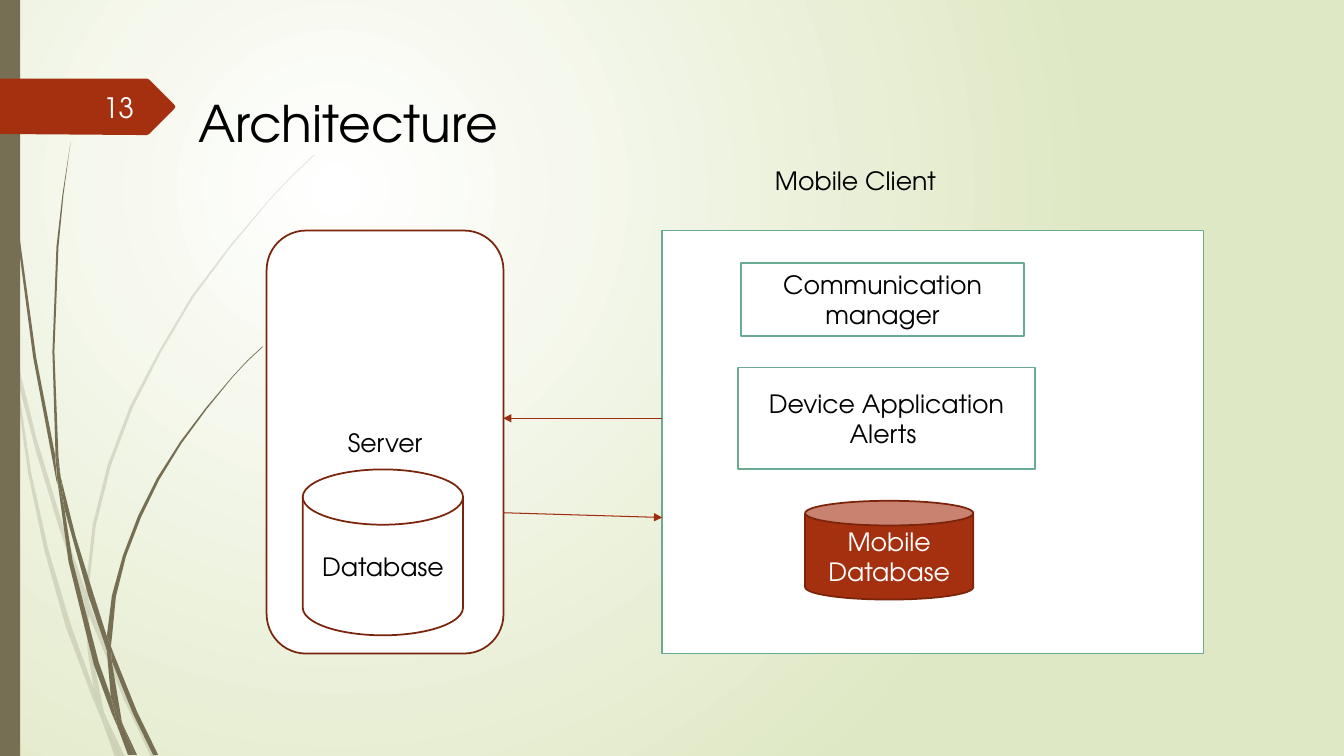
from dataclasses import dataclass
from typing import Any, Optional

from lxml.etree import SubElement
from pptx import Presentation
from pptx.dml.color import RGBColor
from pptx.enum.shapes import MSO_CONNECTOR as Link, MSO_SHAPE as Form
from pptx.enum.text import MSO_ANCHOR as Anchor, MSO_AUTO_SIZE as AutoSize, PP_ALIGN as Align
from pptx.oxml.ns import qn
from pptx.shapes.autoshape import Shape
from pptx.slide import Slide
from pptx.text.text import TextFrame
from pptx.util import Cm, Pt

FONT = "TeX Gyre Adventor"
BLACK = RGBColor(0x00, 0x00, 0x00)
WHITE = RGBColor(0xFF, 0xFF, 0xFF)
NEAR_WHITE = RGBColor(0xFE, 0xFF, 0xFF)
PALE_GREEN = RGBColor(0xDF, 0xE8, 0xC4)
OLIVE = RGBColor(0x76, 0x6F, 0x54)
RUST = RGBColor(0xA5, 0x30, 0x10)
DARK_RUST = RGBColor(0x7A, 0x24, 0x0C)
ARROW_RUST = RGBColor(0x9E, 0x2E, 0x0F)
TEAL = RGBColor(0x6A, 0xAC, 0x91)
OUTLINE_UNIT = 2.54

Box = tuple[float, float, float, float]
Point = tuple[float, float]


@dataclass(frozen=True)
class Outline:
    points: list[Point]
    fill: RGBColor = OLIVE
    opacity: int = 100


@dataclass(frozen=True)
class Node:
    form: Form
    box: Box
    fill: RGBColor
    edge: Optional[RGBColor] = None
    text: str = ""
    ink: RGBColor = BLACK


@dataclass(frozen=True)
class Label:
    text: str
    box: Box
    size: int
    frame: dict[str, Any]
    align: Align = Align.LEFT
    ink: RGBColor = BLACK


@dataclass(frozen=True)
class Arrow:
    start: Point
    end: Point


PALE_WISPS = [
    [(.11, 3.5), (.09, 3.22), (0, 2.82), (0, 2.99), (.1, 3.44)],
    [(.58, 5.22), (.84, 5.99), (.85, 5.86), (.62, 5.2), (.36, 4.34), (.14, 3.45), (.17, 3.76),
     (.36, 4.49)],
    [(.92, 6.07), (.88, 5.96), (.88, 6.1), (1.23, 6.94), (1.5, 7.51), (1.55, 7.51), (1.27, 6.92)],
    [(1.19, 7.51), (1.24, 7.51), (1.05, 7.11)],
    [(.93, 6.83), (.7, 6.19), (.48, 5.45), (.31, 4.69), (.17, 3.76), (.11, 3.5), (.28, 4.7),
     (.44, 5.46), (.65, 6.21), (.92, 6.93), (1.01, 7.14), (.99, 7.07)],
    [(.84, 5.99), (.87, 6.46), (.93, 6.83), (.96, 6.92), (1.05, 7.11), (1.03, 7.06), (.91, 6.46),
     (.88, 6.1), (.88, 6.08)],
    [(.88, 5.84), (.95, 5.22), (1.1, 4.62), (1.32, 4.04), (1.6, 3.49), (1.92, 2.95), (2.29, 2.45),
     (2.68, 1.98), (2.9, 1.75), (3.12, 1.54), (3.12, 1.53), (2.89, 1.75), (2.68, 1.97),
     (2.28, 2.44), (1.9, 2.94), (1.58, 3.48), (1.29, 4.03), (1.07, 4.61), (.92, 5.21),
     (.85, 5.84), (.85, 5.86), (.88, 5.96)],
    [(1.01, 7.14), (1.14, 7.51), (1.19, 7.51)],
    [(.88, 6.08), (.88, 6.1), (.88, 5.96), (.85, 5.86), (.84, 5.99)],
    [(.96, 6.92), (.93, 6.83), (.99, 7.07), (1.01, 7.14), (1.19, 7.51), (1.05, 7.11)],
]
WISPS = [
    [(.07, 1.1), (.17, 2.33), (.33, 3.55), (.56, 4.77), (.57, 4.81), (.55, 4.57), (.55, 4.53),
     (.36, 3.55), (.19, 2.32), (.08, 1.09), (.05, .48), (.04, 0), (.03, 0), (.04, .48)],
    [(.88, 5.92), (1.06, 6.45), (1.06, 6.33), (1.06, 6.31), (.93, 5.9), (.75, 5.32), (.6, 4.72),
     (.64, 5.05)],
    [(1.13, 6.49), (1.1, 6.41), (1.11, 6.56), (1.32, 7.08), (1.52, 7.49), (1.57, 7.49),
     (1.36, 7.06)],
    [(1.1, 6.91), (.98, 6.57), (.72, 5.56), (.64, 5.05), (.57, 4.77), (.68, 5.57), (.93, 6.59),
     (1.11, 7.08), (1.17, 7.22), (1.16, 7.17)],
    [(.6, 4.72), (.58, 4.53), (.54, 3.49), (.58, 2.45), (.63, 1.93), (.7, 1.41), (.62, 1.93),
     (.56, 2.45), (.52, 3.49), (.55, 4.49), (.6, 4.72)],
    [(1.33, 7.49), (1.36, 7.49), (1.22, 7.19)],
    [(.57, 4.77), (.64, 5.05), (.6, 4.72), (.55, 4.49), (.55, 4.53)],
    [(1.11, 6.33), (1.15, 5.92), (1.25, 5.52), (1.4, 5.13), (1.58, 4.76), (1.8, 4.4), (2.05, 4.06),
     (2.31, 3.74), (2.45, 3.59), (2.61, 3.44), (2.6, 3.44), (2.45, 3.58), (2.31, 3.73),
     (2.04, 4.05), (1.79, 4.38), (1.56, 4.74), (1.37, 5.12), (1.22, 5.51), (1.11, 5.91),
     (1.06, 6.31), (1.1, 6.41)],
    [(1.17, 7.22), (1.27, 7.49), (1.31, 7.49)],
    [(1.06, 6.45), (1.1, 6.91), (1.16, 7.06), (1.22, 7.19), (1.21, 7.16), (1.11, 6.56),
     (1.09, 6.51)],
    [(1.06, 6.45), (1.09, 6.51), (1.11, 6.56), (1.1, 6.41), (1.06, 6.31), (1.06, 6.33)],
    [(1.16, 7.06), (1.1, 6.91), (1.16, 7.17), (1.17, 7.22), (1.3, 7.49), (1.33, 7.49),
     (1.22, 7.19)],
]
NUMBER_TAG = [(1.74, 1.06), (1.73, 1.08), (1.48, 1.33), (1.46, 1.34), (1.36, 1.34), (0, 1.33),
              (0, .78), (1.36, .78), (1.46, .78), (1.48, .79), (1.73, 1.04)]

OUTLINES = [Outline(points, opacity=20) for points in PALE_WISPS] + [Outline(points) for points in WISPS]
SIDEBAR = Node(Form.RECTANGLE, (0, 0, .51, 19.05), OLIVE)
LABELS = [
    Label("13", (1.47, 2.2, 2.16, 1.02), 20,
          {"word_wrap": True, "vertical_anchor": Anchor.MIDDLE}, Align.RIGHT, NEAR_WHITE),
    Label("Mobile Client", (19.28, 4.03, 6.3, 1.02), 18,
          {"word_wrap": True, "auto_size": AutoSize.SHAPE_TO_FIT_TEXT}),
    Label("Architecture", (4.75, 2.2, 8.26, 1.8), 36,
          {"word_wrap": False, "auto_size": AutoSize.SHAPE_TO_FIT_TEXT}),
]
NODES = [
    Node(Form.ROUNDED_RECTANGLE, (6.72, 5.81, 5.97, 10.66), WHITE, DARK_RUST, "Server"),
    Node(Form.FLOWCHART_MAGNETIC_DISK, (7.63, 11.83, 4.04, 4.18), WHITE, DARK_RUST, "Database"),
    Node(Form.RECTANGLE, (16.69, 5.81, 13.64, 10.66), WHITE, TEAL),
    Node(Form.RECTANGLE, (18.67, 6.63, 7.14, 1.83), WHITE, TEAL, "Communication manager"),
    Node(Form.RECTANGLE, (18.6, 9.26, 7.48, 2.56), WHITE, TEAL, "Device Application Alerts "),
    Node(Form.CAN, (20.29, 12.62, 4.24, 2.49), RUST, DARK_RUST, "Mobile Database", WHITE),
]
ARROWS = [
    Arrow((16.69, 10.54), (12.68, 10.54)),
    Arrow((12.68, 12.92), (16.69, 13.04)),
]


def apply(target: Any, values: dict[str, Any]) -> None:
    for name, value in values.items():
        setattr(target, name, value)


def write(frame: TextFrame, text: str, size: int, align: Align, ink: RGBColor) -> None:
    para = frame.paragraphs[0]
    para.alignment = align
    span = para.add_run()
    span.text = text
    apply(span.font, {"name": FONT, "size": Pt(size)})
    span.font.color.rgb = ink


def paint(shape: Shape, fill: RGBColor, edge: Optional[RGBColor] = None) -> None:
    shape.shadow.inherit = False
    shape.fill.solid()
    shape.fill.fore_color.rgb = fill
    if edge is None:
        shape.line.fill.background()
    else:
        shape.line.color.rgb = edge
        shape.line.width = Pt(1.25)


def draw_background(page: Slide) -> None:
    fill = page.background.fill
    fill.gradient()
    for stop, color, position in zip(fill.gradient_stops, (WHITE, PALE_GREEN), (0, 1)):
        stop.color.rgb = color
        stop.position = position
    gradient = page.background._cSld.find(".//" + qn("a:gradFill"))
    gradient.remove(gradient.find(qn("a:lin")))
    circle = SubElement(gradient, qn("a:path"), {"path": "circle"})
    SubElement(circle, qn("a:fillToRect"), {"l": "50000", "t": "50000", "r": "100000", "b": "100000"})


def draw_outline(page: Slide, outline: Outline) -> None:
    first, *rest = [(Cm(x * OUTLINE_UNIT), Cm(y * OUTLINE_UNIT)) for x, y in outline.points]
    builder = page.shapes.build_freeform(*first)
    builder.add_line_segments(rest, close=True)
    shape = builder.convert_to_shape()
    paint(shape, outline.fill)
    if outline.opacity < 100:
        color = shape._element.spPr.find(".//" + qn("a:srgbClr"))
        SubElement(color, qn("a:alpha"), {"val": str(outline.opacity * 1000)})


def draw_node(page: Slide, node: Node) -> None:
    shape = page.shapes.add_shape(node.form, *map(Cm, node.box))
    paint(shape, node.fill, node.edge)
    if node.text:
        apply(shape.text_frame, {"word_wrap": True, "vertical_anchor": Anchor.MIDDLE})
        write(shape.text_frame, node.text, 18, Align.CENTER, node.ink)


def draw_label(page: Slide, label: Label) -> None:
    frame = page.shapes.add_textbox(*map(Cm, label.box)).text_frame
    apply(frame, label.frame)
    write(frame, label.text, label.size, label.align, label.ink)


def draw_arrow(page: Slide, arrow: Arrow) -> None:
    line = page.shapes.add_connector(Link.STRAIGHT, *map(Cm, arrow.start + arrow.end))
    line.line.color.rgb = ARROW_RUST
    line.line.width = Pt(0.75)
    SubElement(line.line._get_or_add_ln(), qn("a:tailEnd"), {"type": "triangle"})
    SubElement(line._element.spPr, qn("a:effectLst"))


def main() -> None:
    deck = Presentation()
    apply(deck, {"slide_width": Cm(33.87), "slide_height": Cm(19.05)})
    page = deck.slides.add_slide(deck.slide_layouts[6])
    draw_background(page)
    for draw, items in ((draw_outline, OUTLINES), (draw_node, [SIDEBAR]),
                        (draw_outline, [Outline(NUMBER_TAG, RUST)]), (draw_label, LABELS),
                        (draw_node, NODES), (draw_arrow, ARROWS)):
        for item in items:
            draw(page, item)
    deck.save("out.pptx")


if __name__ == "__main__":
    main()
